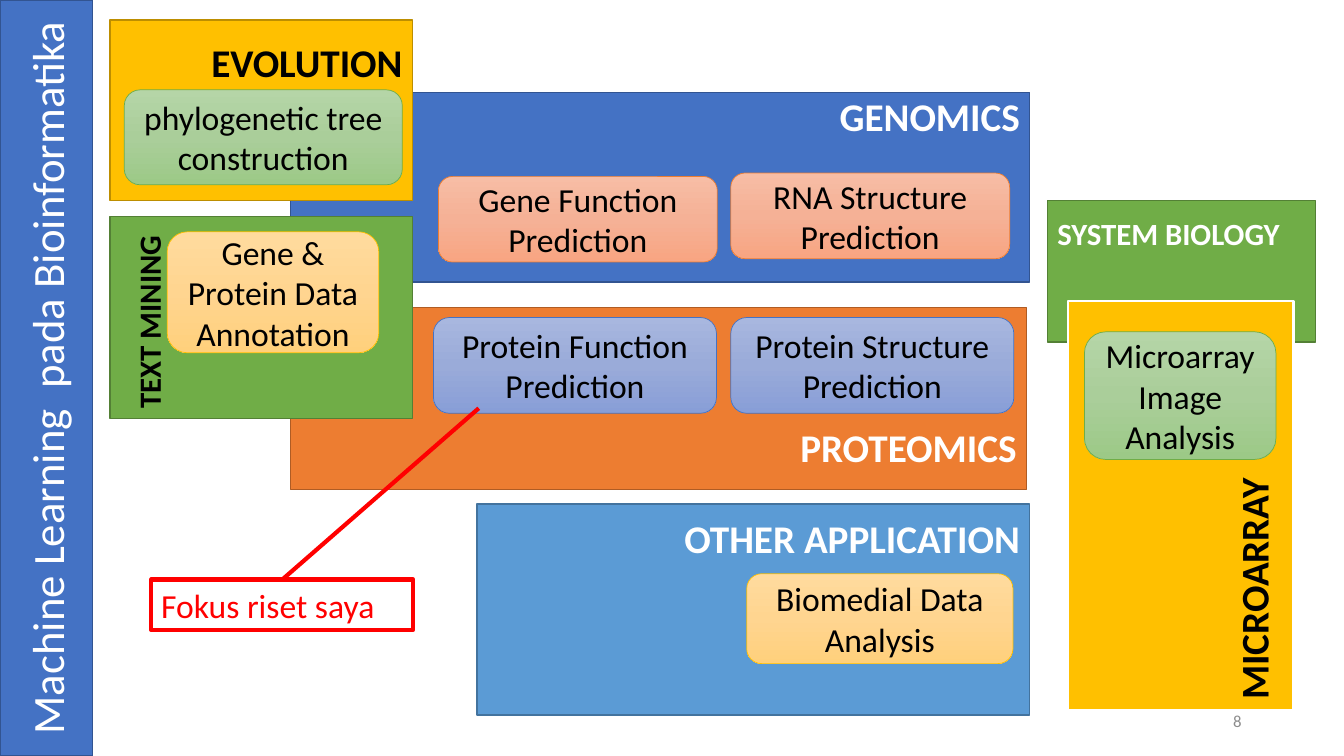
from copy import deepcopy

from lxml import etree
from pptx import Presentation
from pptx import util as u
from pptx.dml.color import RGBColor
from pptx.enum import shapes, text
from pptx.oxml.ns import qn

COLS, ROWS = 160, 90
FONT = "Calibri"
BLACK, WHITE, RED = "000000", "FFFFFF", "FF0000"
LEFT, CENTER, RIGHT = text.PP_ALIGN.LEFT, text.PP_ALIGN.CENTER, text.PP_ALIGN.RIGHT
TOP, MIDDLE, BOTTOM = (text.MSO_ANCHOR.TOP, text.MSO_ANCHOR.MIDDLE,
                       text.MSO_ANCHOR.BOTTOM)
RECT, ROUND = shapes.MSO_SHAPE.RECTANGLE, shapes.MSO_SHAPE.ROUNDED_RECTANGLE

# Gradient stops from top to bottom, then the outline
TINTS = {
    "blue": ("A8B7DF", "9AABD9", "889ED7", "4472C4"),
    "orange": ("F7BDA5", "F5B196", "F8A582", "ED7D31"),
    "green": ("B5D5A7", "AACE9A", "9CC987", "70AD47"),
    "gold": ("FFDB9E", "FFD590", "FFD07C", "FFC000"),
}


def rgb(value):
    return RGBColor.from_string(value)


class Board:
    """Draws on a slide, with places given as columns and rows of a grid."""

    def __init__(self, prs):
        self.slide = prs.slides.add_slide(prs.slide_layouts[6])
        self.col = prs.slide_width / COLS
        self.row = prs.slide_height / ROWS

    def place(self, x, y, w, h):
        return [int(n) for n in (x * self.col, y * self.row,
                                 w * self.col, h * self.row)]

    def label(self, sp, words, size, color, align, anchor, bold=False):
        tf = sp.text_frame
        tf.word_wrap = True
        tf.vertical_anchor = anchor
        p = tf.paragraphs[0]
        p.text = words
        p.alignment = align
        p.font.name, p.font.size, p.font.bold = FONT, u.Pt(size), bold
        p.font.color.rgb = rgb(color)
        return tf

    def shape(self, kind, box, line, weight, turned=False):
        x, y, w, h = self.place(*box)
        if turned:  # the box is the outline seen after a quarter turn
            x, y, w, h = x + (w - h) // 2, y + (h - w) // 2, h, w
        sp = self.slide.shapes.add_shape(kind, x, y, w, h)
        sp.rotation = 270 if turned else 0
        sp.shadow.inherit = False
        sp.line.color.rgb = rgb(line)
        sp.line.width = u.Pt(weight)
        return sp

    def panel(self, box, words, fill, line, color=WHITE, size=28, align=RIGHT,
              anchor=TOP, inset=0, weight=1, turned=False, bold=True):
        sp = self.shape(RECT, box, line, weight, turned)
        sp.fill.solid()
        sp.fill.fore_color.rgb = rgb(fill)
        tf = self.label(sp, words, size, color, align, anchor, bold)
        tf.margin_top = tf.margin_bottom = u.Inches(inset)

    def topic(self, box, words, tint):
        *stops, line = TINTS[tint]
        sp = self.shape(ROUND, box, line, 0.5)
        sp.fill.gradient()
        sp.fill.gradient_angle = 270
        stop_list = sp._element.spPr.find(".//" + qn("a:gsLst"))
        stop_list.insert(1, deepcopy(stop_list[0]))
        for i, (stop, color) in enumerate(zip(sp.fill.gradient_stops, stops)):
            stop.position = i / 2
            stop.color.rgb = rgb(color)
        self.label(sp, words, 24, BLACK, CENTER, MIDDLE)

    def callout(self, box, words, target):
        sp = self.shape(RECT, box, RED, 3)
        sp.fill.background()
        self.label(sp, words, 24, RED, LEFT, TOP)
        x, y, w, _ = box
        start, end = self.place(*target, 0, 0), self.place(x + w / 2, y, 0, 0)
        line = self.slide.shapes.add_connector(
            shapes.MSO_CONNECTOR.STRAIGHT, *start[:2], *end[:2])
        line.end_connect(sp, 0)
        line.line.color.rgb = rgb(RED)
        line.line.width = u.Pt(3)
        etree.SubElement(line._element.spPr, qn("a:effectLst"))

    def page_number(self, box, number):
        sp = self.slide.shapes.add_textbox(*self.place(*box))
        self.label(sp, number, 12, "8C8C8C", RIGHT, MIDDLE)


def main():
    prs = Presentation()
    prs.slide_width, prs.slide_height = u.Inches(13.33), u.Inches(7.5)
    board = Board(prs)

    # Page number and side title
    board.page_number((113, 83.4, 36, 4.8), "8")
    board.panel((0, 0, 11, 90), "Machine Learning  pada Bioinformatika",
                "4472C4", "325491", size=32, align=CENTER, anchor=MIDDLE,
                turned=True, bold=False)

    # Fields of bioinformatics
    board.panel((34.6, 11, 88, 22.6), "GENOMICS", "4472C4", "325491")
    board.panel((34.6, 36.6, 87.6, 21.7), "PROTEOMICS", "ED7D31", "AF5C24",
                anchor=BOTTOM, inset=0.19)
    board.panel((124.7, 23.9, 31.9, 16.8), "SYSTEM BIOLOGY", "70AD47", "538035",
                size=22, align=LEFT, inset=0.14)
    board.panel((127.1, 35.8, 26.9, 48.7), "MICROARRAY", "FFC000", WHITE, BLACK,
                align=LEFT, anchor=BOTTOM, inset=0.17, weight=1.5, turned=True)
    board.panel((13.1, 2.4, 36, 21.5), "EVOLUTION", "FFC000", "BD8E00", BLACK,
                inset=0.18)
    board.panel((13.1, 25.8, 36, 24), "TEXT MINING", "70AD47", "538035", BLACK,
                size=22, align=LEFT, inset=0.2, turned=True)
    board.panel((56.8, 60, 65.8, 25.1), "OTHER APPLICATION", "5B9BD5", "43739E",
                inset=0.1)

    # Machine learning topics within the fields
    for box, words, tint in (
        ((51.6, 37.8, 33.7, 11.4), "Protein Function Prediction", "blue"),
        ((52.2, 21, 33.2, 10.2), "Gene Function Prediction", "orange"),
        ((87, 20.6, 33.2, 10.2), "RNA Structure Prediction", "orange"),
        ((87, 37.8, 33.7, 11.4), "Protein Structure Prediction", "blue"),
        ((129.1, 39.5, 22.8, 15.2), "Microarray Image Analysis", "green"),
        ((88.9, 68.3, 31.7, 10.7), "Biomedial Data Analysis", "gold"),
        ((19.9, 27.6, 25.2, 14.4), "Gene & Protein Data Annotation", "gold"),
        ((14.8, 10.7, 33.1, 11.3), "phylogenetic tree construction", "green"),
    ):
        board.topic(box, words, tint)

    # Research focus
    board.callout((18, 69, 31.2, 6), "Fokus riset saya", (57, 48.6))

    prs.save("out.pptx")


if __name__ == "__main__":
    main()
